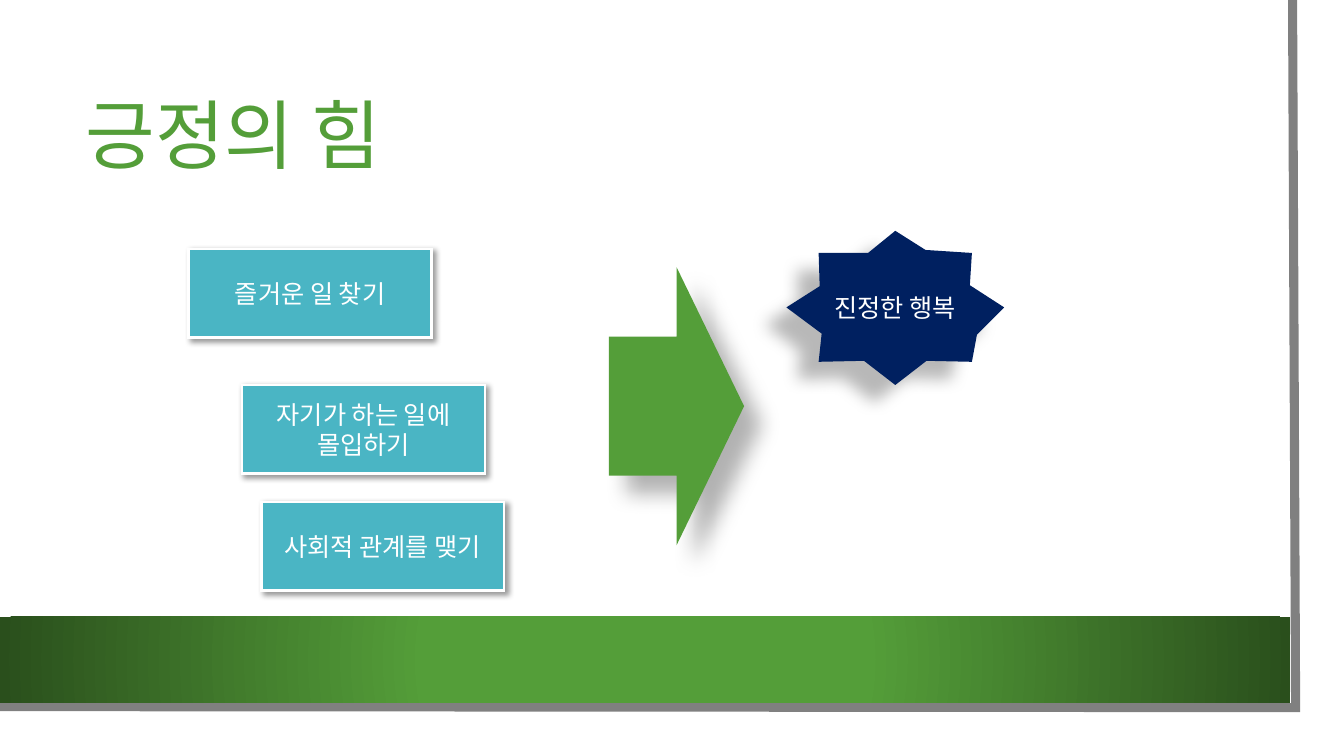
from dataclasses import dataclass

from lxml.etree import SubElement
from pptx import Presentation
from pptx.dml.color import RGBColor
from pptx.enum.shapes import MSO_SHAPE
from pptx.enum.text import MSO_ANCHOR, PP_ALIGN
from pptx.oxml import parse_xml
from pptx.oxml.ns import nsdecls, qn
from pptx.util import Inches, Pt


@dataclass(frozen=True)
class Theme:
    """Colours, type sizes and font of the slide."""
    white: str = "FFFFFF"
    black: str = "000000"
    gray: str = "808080"
    green: str = "549E39"
    dark_green: str = "2A4F1C"
    teal: str = "4AB5C4"
    navy: str = "002060"
    font: str = "Noto Sans CJK KR"
    title_size: int = 54
    body_size: int = 18


THEME = Theme()
STEPS = (
    ("즐거운 일 찾기", 1.87, 2.47),
    ("자기가 하는 일에 몰입하기", 2.4, 3.82),
    ("사회적 관계를 맺기", 2.59, 4.98),
)
FRAME_POINTS = ((12.82, 0), (12.85, 7.02), (-0.03, 7.01))
STAR_POINTS = (
    (7.8, 3.05), (8.13, 2.84), (8.12, 2.51), (8.61, 2.51), (8.88, 2.29), (9.18, 2.48),
    (9.64, 2.51), (9.62, 2.83), (9.96, 3.05), (9.69, 3.32), (9.64, 3.59), (9.19, 3.58),
    (8.88, 3.82), (8.57, 3.58), (8.12, 3.59), (8.15, 3.31),
)


def write(shape, text, *, size=THEME.body_size, color=THEME.white, align=PP_ALIGN.CENTER, spacing=None):
    """Put formatted, vertically centred text in a shape."""
    frame = shape.text_frame
    frame.word_wrap = True
    frame.vertical_anchor = MSO_ANCHOR.MIDDLE
    paragraph = frame.paragraphs[0]
    paragraph.alignment = align
    paragraph.line_spacing = spacing
    run = paragraph.add_run()
    run.text = text
    run.font.size = Pt(size)
    run.font.name = THEME.font
    run.font.color.rgb = RGBColor.from_string(color)
    SubElement(run.font._element, qn("a:ea"), typeface=THEME.font)


def style(shape, fill=None, line=None, weight=0):
    """Set fill and outline and remove the inherited shadow."""
    if fill:
        shape.fill.solid()
        shape.fill.fore_color.rgb = RGBColor.from_string(fill)
    else:
        shape.fill.background()
    if line:
        shape.line.color.rgb = RGBColor.from_string(line)
        shape.line.width = Pt(weight)
        SubElement(shape.line._get_or_add_ln(), qn("a:miter"), lim="800000")
    else:
        shape.line.fill.background()
    shape.shadow.inherit = False
    return shape


def add_block(slide, kind, left, top, width, height, **look):
    """Add a styled preset shape, measured in inches."""
    box = (Inches(side) for side in (left, top, width, height))
    return style(slide.shapes.add_shape(kind, *box), **look)


def add_outline(slide, points, close, **look):
    """Add a styled freeform through points in inches."""
    start, *rest = [(Inches(x), Inches(y)) for x, y in points]
    builder = slide.shapes.build_freeform(*start, scale=1.0)
    builder.add_line_segments(rest, close=close)
    return style(builder.convert_to_shape(), **look)


def cast_shadow(shape, opacity, blur, distance, angle):
    """Give a shape an outer shadow."""
    effects = shape._element.spPr.find(qn("a:effectLst"))
    shadow = SubElement(effects, qn("a:outerShdw"), blurRad=str(Pt(blur)), dist=str(Pt(distance)),
                        dir=str(angle * 60000), algn="ctr", rotWithShape="0")
    color = SubElement(shadow, qn("a:srgbClr"), val=THEME.black)
    SubElement(color, qn("a:alpha"), val=str(opacity * 1000))


def fill_radial(shape, inner, outer, inner_stop):
    """Replace a solid fill with a gradient spreading from the centre."""
    gradient = parse_xml(
        f'<a:gradFill {nsdecls("a")} rotWithShape="1"><a:gsLst>'
        f'<a:gs pos="{inner_stop * 1000}"><a:srgbClr val="{inner}"/></a:gs>'
        f'<a:gs pos="100000"><a:srgbClr val="{outer}"/></a:gs></a:gsLst>'
        '<a:path path="circle"><a:fillToRect l="50000" t="50000" r="50000" b="50000"/></a:path>'
        '</a:gradFill>')
    properties = shape._element.spPr
    properties.replace(properties.find(qn("a:solidFill")), gradient)


def add_backdrop(slide):
    """Draw the page, its gray edge and the green band."""
    add_block(slide, MSO_SHAPE.RECTANGLE, 0, 0, 13.1, 7.27, fill=THEME.white)
    add_outline(slide, FRAME_POINTS, False, line=THEME.gray, weight=6.5)
    band = add_block(slide, MSO_SHAPE.RECTANGLE, 0, 6.12, 12.8, 0.85, fill=THEME.green)
    fill_radial(band, THEME.green, THEME.dark_green, 34)


def add_title(slide, text):
    """Add the slide title."""
    title = slide.shapes.add_textbox(Inches(0.75), Inches(0.75), Inches(11.37), Inches(1.26))
    write(title, text, size=THEME.title_size, color=THEME.green, align=PP_ALIGN.LEFT, spacing=0.9)


def add_step(slide, text, left, top):
    """Add one step card."""
    step = add_block(slide, MSO_SHAPE.RECTANGLE, left, top, 2.41, 0.88,
                     fill=THEME.teal, line=THEME.white, weight=2)
    cast_shadow(step, 40, 4, 3, 45)
    write(step, text)


def main():
    """Build and save the slide."""
    deck = Presentation()
    deck.slide_width, deck.slide_height = Inches(13.33), Inches(7.5)
    slide = deck.slides.add_slide(deck.slide_layouts[6])
    add_backdrop(slide)
    add_title(slide, "긍정의 힘")
    for step in STEPS:
        add_step(slide, *step)
    arrow = add_block(slide, MSO_SHAPE.RIGHT_ARROW, 6.04, 2.65, 1.34, 2.76, fill=THEME.green)
    cast_shadow(arrow, 30, 15, 18, 45)
    happiness = add_outline(slide, STAR_POINTS, True, fill=THEME.navy)
    cast_shadow(happiness, 28, 11.8, 19.7, 141)
    write(happiness, "진정한 행복")
    deck.save("out.pptx")


if __name__ == "__main__":
    main()
